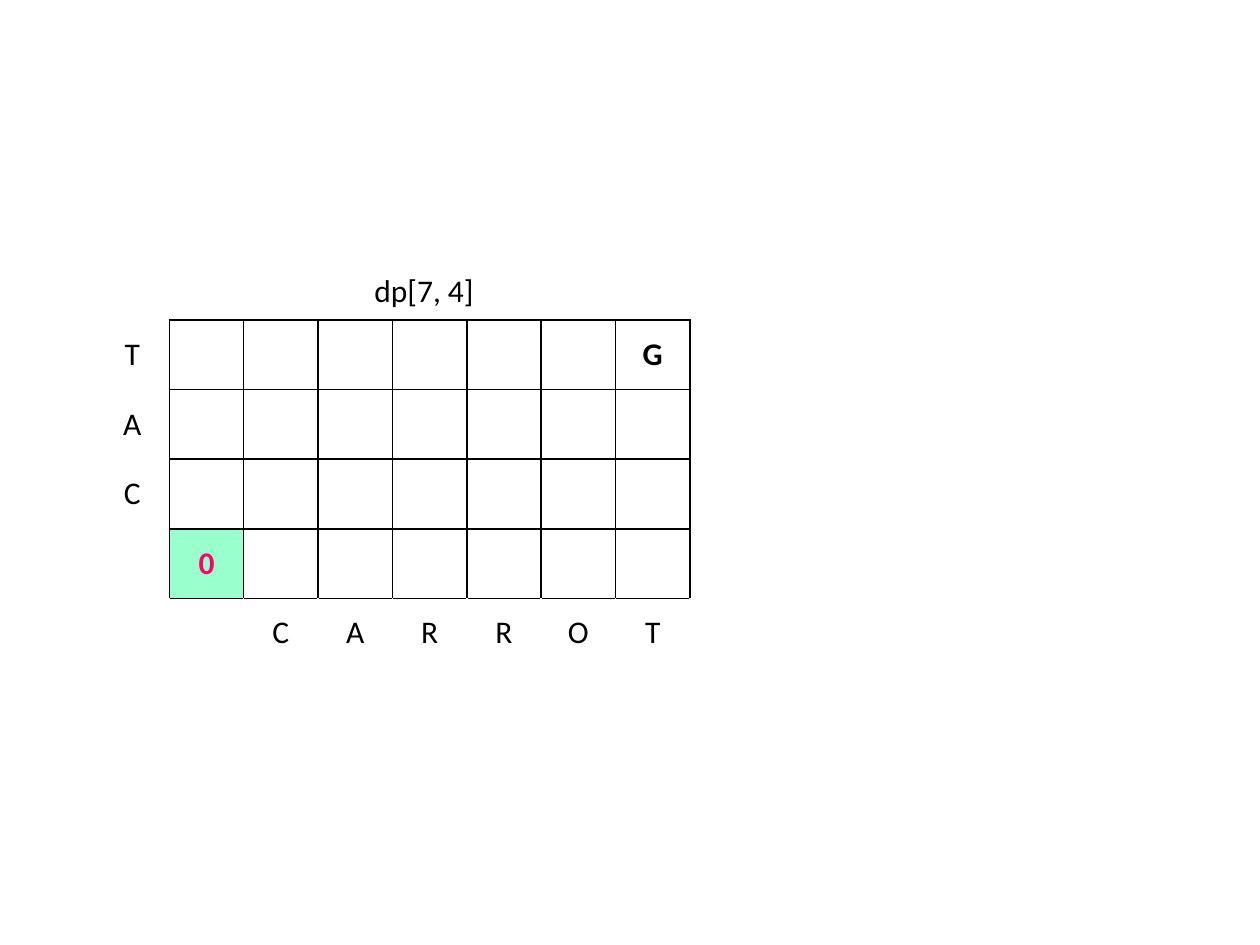
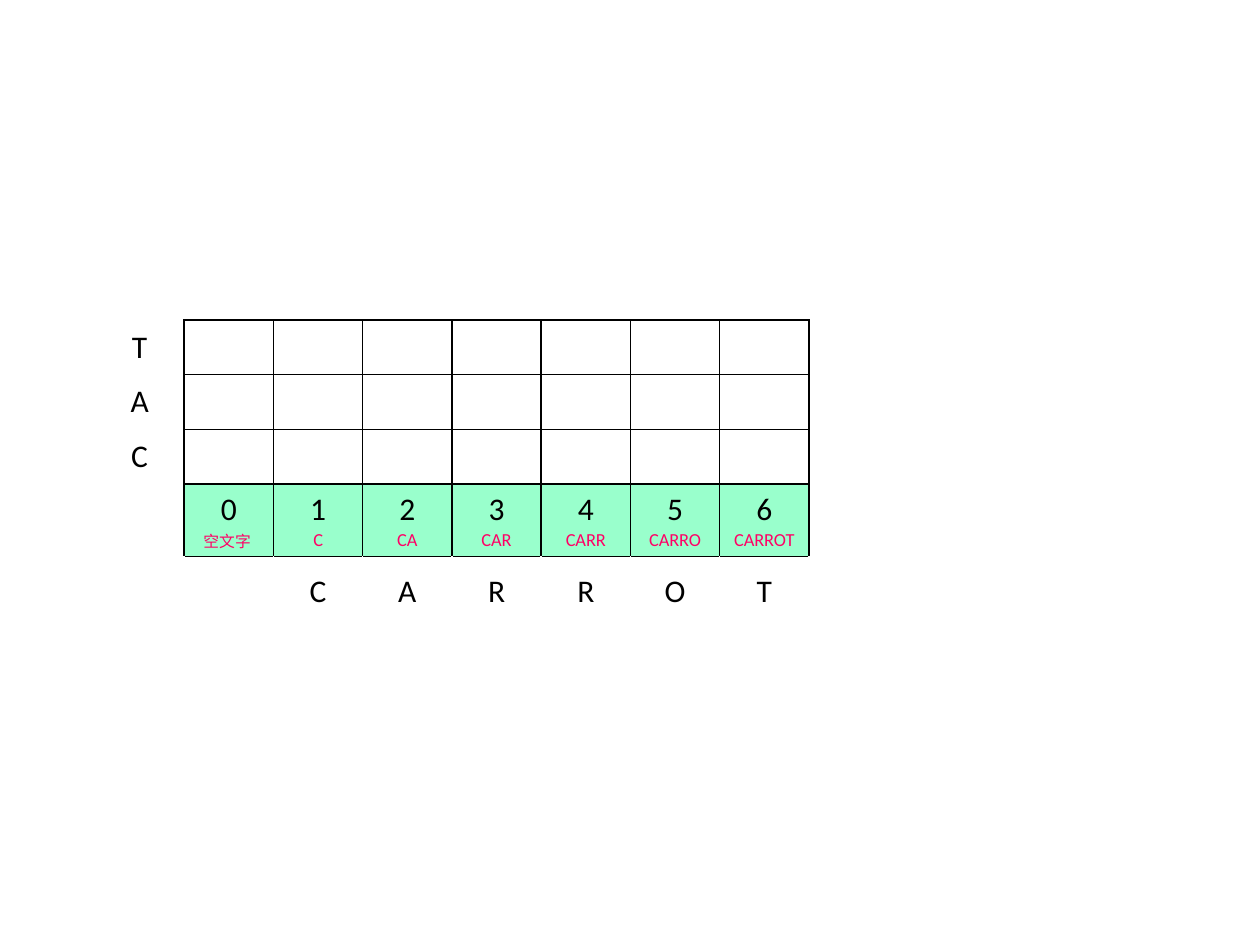
import dataclasses

import pptx
import pptx.dml.color
import pptx.enum.text
import pptx.oxml
import pptx.oxml.ns
import pptx.util

SCALE = 914400 / 126  # EMU in one pixel
WORD = "CARROT"
SIDE = "TAC"
ROWS, COLS = len(SIDE) + 2, len(WORD) + 2
BASE = ROWS - 1  # row of the word below the grid


@dataclasses.dataclass(frozen=True)
class Theme:
    font: str = "Calibri"
    ink: str = "000000"
    paper: str = "FFFFFF"
    mint: str = "99FFCC"
    pink: str = "FF0066"
    body: float = 18
    note: float = 10.5
    small: float = 9
    line: float = 1


THEME = Theme()


def px(count):
    return pptx.util.Emu(round(count * SCALE))


def rgb(code):
    return pptx.dml.color.RGBColor.from_string(code)


def style(run, size=THEME.body, color=THEME.ink, bold=False):
    run.font.name = THEME.font
    run.font.size = pptx.util.Pt(size)
    run.font.color.rgb = rgb(color)
    run.font.bold = bold


def edge(cell, side, color):
    """Draw one border of a cell: side is L, R, T or B."""
    width = pptx.util.Pt(THEME.line)
    cell._tc.get_or_add_tcPr().append(pptx.oxml.parse_xml(
        f'<a:ln{side} {pptx.oxml.ns.nsdecls("a")} w="{width}">'
        f'<a:solidFill><a:srgbClr val="{color}"/></a:solidFill>'
        f'</a:ln{side}>'))


def frame(cell, row, col):
    """Grid cells get black borders, labels only where they face the grid."""
    grid = row < BASE and col > 0
    dark = {
        "L": grid,
        "R": row < BASE,
        "T": col > 0,
        "B": grid,
    }
    for side, on in dark.items():
        edge(cell, side, THEME.ink if on else THEME.paper)


def write(cell, text, **look):
    """Centre the text and return its runs."""
    cell.vertical_anchor = pptx.enum.text.MSO_ANCHOR.MIDDLE
    para = cell.text_frame.paragraphs[0]
    para.text = text
    para.alignment = pptx.enum.text.PP_ALIGN.CENTER
    for run in para.runs:
        style(run, **look)
    return para.runs


def shade(cell):
    cell.fill.solid()
    cell.fill.fore_color.rgb = rgb(THEME.mint)


def add_grid(slide, width, heights):
    """Add the empty grid with SIDE at its left and WORD below it."""
    table = slide.shapes.add_table(
        ROWS, COLS, px(95), px(320), px(width), px(sum(heights))).table
    table.first_row = table.horz_banding = False
    for column in table.columns:
        column.width = px(width / COLS)
    for row, height in zip(table.rows, heights):
        row.height = px(height)
    for row in range(ROWS):
        for col in range(COLS):
            cell = table.cell(row, col)
            frame(cell, row, col)
            cell.fill.background()
    table.cell(BASE - 1, 0).merge(table.cell(BASE, 0))

    # Letters along both sides
    for row, mark in enumerate(SIDE):
        write(table.cell(row, 0), mark)
    for col, mark in enumerate(WORD, 2):
        write(table.cell(BASE, col), mark)
    return table


def add_label(slide, text, left, top, width, height):
    box = slide.shapes.add_textbox(px(left), px(top), px(width), px(height))
    body = box.text_frame
    body.word_wrap = True
    body.auto_size = pptx.enum.text.MSO_AUTO_SIZE.SHAPE_TO_FIT_TEXT
    body.text = text
    style(body.paragraphs[0].runs[0])


def start_slide(slide):
    """First cell is known, the goal is in the far corner."""
    table = add_grid(slide, 595, [348 / ROWS] * ROWS)
    write(table.cell(0, COLS - 1), "G", bold=True)
    first = table.cell(BASE - 1, 1)
    write(first, "0", color=THEME.pink, bold=True)
    shade(first)
    add_label(slide, "dp[7, 4]", 362, 265, 169, 50)


def base_slide(slide):
    """The lowest row counts the letters of each start of the word."""
    table = add_grid(slide, 714, [164 / 3] * 3 + [70] * 2)
    for count in range(len(WORD) + 1):
        cell = table.cell(BASE - 1, count + 1)
        part = WORD[:count] or "空文字 "
        size = THEME.note if count else THEME.small
        runs = write(cell, f"{count}\v{part}")
        style(runs[-1], size, THEME.pink)
        shade(cell)


def main():
    deck = pptx.Presentation()
    deck.slide_width, deck.slide_height = px(1260), px(945)
    blank = deck.slide_layouts[6]
    for build in (start_slide, base_slide):
        build(deck.slides.add_slide(blank))
    deck.save("out.pptx")


main()
